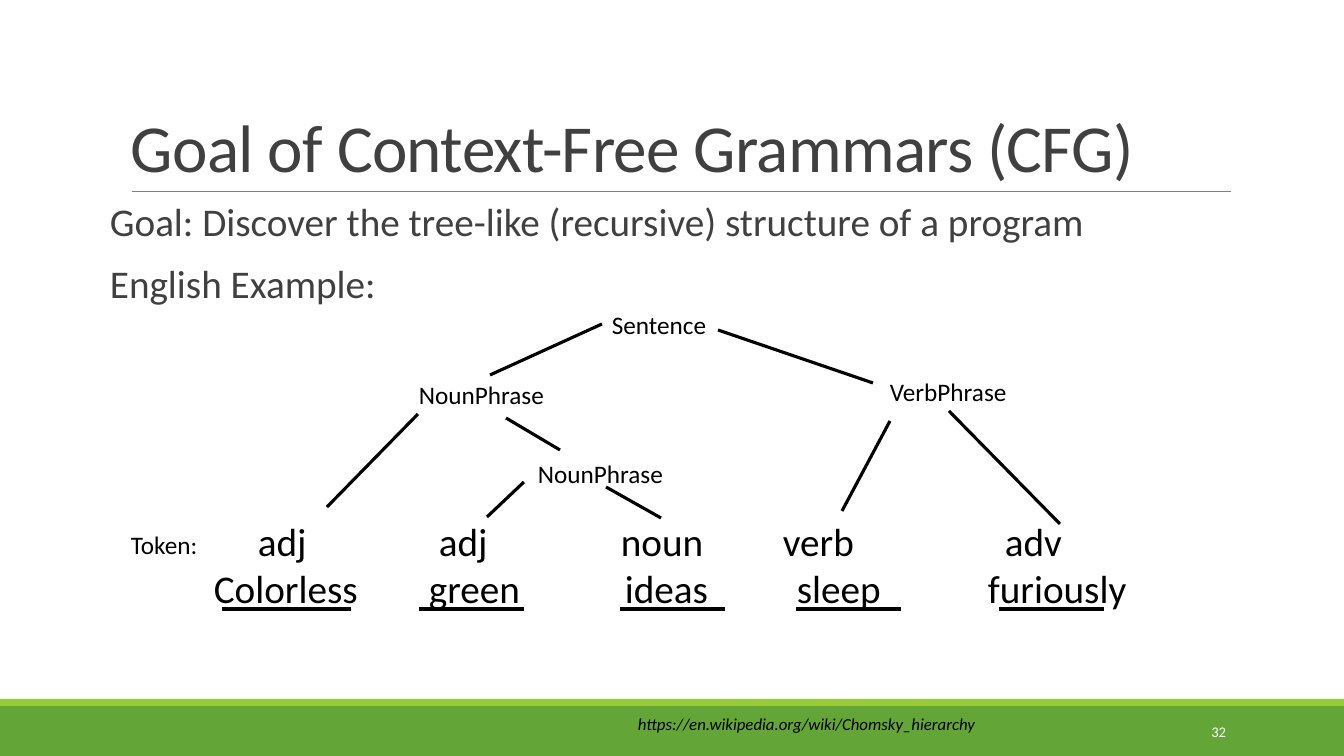
"""Build a slide that shows an English sentence as a context-free parse tree."""

import dataclasses
import typing

import lxml.etree
import pptx
import pptx.dml.color
import pptx.enum.shapes
import pptx.enum.text
import pptx.oxml.ns
import pptx.util

WIDTH, HEIGHT = 1344, 756
EMU_PER_PX = 12192000 / WIDTH
FONT = "Calibri"
BLACK, WHITE, DARK, GRAY = "000000", "FFFFFF", "404040", "808080"
GREEN, LIME = "63A537", "99CB38"
LEFT, BOTTOM = 1, 2
TOP_ANCHOR = pptx.enum.text.MSO_ANCHOR.TOP
LEFT_ALIGN = pptx.enum.text.PP_ALIGN.LEFT


@dataclasses.dataclass(frozen=True)
class Label:
    """A text box with one style for all its paragraphs."""

    lines: tuple[str, ...]
    left: int
    top: int
    width: int
    height: int
    size: float = 18
    color: str = BLACK
    wrap: bool = True
    italic: bool = False
    anchor: pptx.enum.text.MSO_ANCHOR = TOP_ANCHOR
    align: pptx.enum.text.PP_ALIGN = LEFT_ALIGN
    spacing: float = 1.0
    before: float = 0
    after: float = 0
    tracking: int = 0
    tabs: tuple[tuple[int, ...], ...] = ()


@dataclasses.dataclass(frozen=True)
class Band:
    """A filled strip across the full width of the slide."""

    top: int
    height: int
    color: str


@dataclasses.dataclass(frozen=True)
class Branch:
    """A tree line, optionally joined at its start to a side of a node."""

    start: tuple[int, int]
    end: tuple[int, int]
    node: str = ""
    side: int = LEFT


BANDS = (Band(706, 50, GREEN), Band(699, 7, LIME))

LABELS = (
    Label(("Goal of Context-Free Grammars (CFG)",), 121, 31, 1109, 160, 48, DARK,
          anchor=pptx.enum.text.MSO_ANCHOR.BOTTOM, spacing=0.85, tracking=-50),
    Label(("Goal: Discover the tree-like (recursive) structure of a program",
           "English Example:"),
          100, 198, 1004, 482, 28, DARK, spacing=0.9, before=12, after=2),
    Label(("32",), 1092, 712, 144, 40, 10.5, WHITE,
          anchor=pptx.enum.text.MSO_ANCHOR.MIDDLE, align=pptx.enum.text.PP_ALIGN.RIGHT),
    Label(("https://en.wikipedia.org/wiki/Chomsky_hierarchy",), 628, 709, 504, 30, 12,
          italic=True),
    Label(("\tadj\tadj\tnoun\tverb\tadv", "Colorless\tgreen\tideas\tsleep\tfuriously"),
          204, 512, 944, 105, 28,
          tabs=((44, 225, 407, 569, 791), (215, 411, 583, 774))),
    Label(("Token:",), 121, 524, 88, 40, wrap=False),
)

NODES = {
    "sentence": Label(("Sentence",), 602, 304, 116, 40, wrap=False),
    "subject": Label(("NounPhrase",), 409, 374, 147, 40, wrap=False),
    "inner subject": Label(("NounPhrase",), 528, 453, 147, 40, wrap=False),
    "predicate": Label(("VerbPhrase",), 880, 371, 138, 40, wrap=False),
}

BRANCHES = (
    Branch((602, 327), (490, 375), "sentence", LEFT),
    Branch((718, 330), (873, 383)),
    Branch((418, 414), (327, 507)),
    Branch((506, 418), (560, 450)),
    Branch((524, 482), (487, 517)),
    Branch((606, 487), (661, 518)),
    Branch((890, 421), (842, 511)),
    Branch((949, 414), (1060, 524), "predicate", BOTTOM),
)

UNDERLINE_TOP = 609
UNDERLINES = ((222, 351), (419, 524), (620, 725), (796, 901), (999, 1104))


def px(length: int) -> pptx.util.Emu:
    """Turn pixels into EMU."""
    return pptx.util.Emu(round(length * EMU_PER_PX))


def rgb(value: str) -> pptx.dml.color.RGBColor:
    """Turn a hex string into a colour."""
    return pptx.dml.color.RGBColor.from_string(value)


def add_band(page: typing.Any, band: Band) -> None:
    """Draw a strip without outline or shadow."""
    box = page.shapes.add_shape(pptx.enum.shapes.MSO_SHAPE.RECTANGLE,
                                0, px(band.top), px(WIDTH), px(band.height))
    box.shadow.inherit = False
    box.fill.solid()
    box.fill.fore_color.rgb = rgb(band.color)
    box.line.fill.background()


def add_tabs(para: typing.Any, stops: tuple[int, ...]) -> None:
    """Set left tab stops on a paragraph."""
    qn = pptx.oxml.ns.qn
    tab_list = lxml.etree.SubElement(para._p.get_or_add_pPr(), qn("a:tabLst"))
    for stop in stops:
        lxml.etree.SubElement(tab_list, qn("a:tab"), pos=str(px(stop)), algn="l")


def add_label(page: typing.Any, label: Label) -> typing.Any:
    """Draw a text box and return it."""
    box = page.shapes.add_textbox(px(label.left), px(label.top),
                                  px(label.width), px(label.height))
    frame = box.text_frame
    frame.word_wrap = label.wrap
    frame.vertical_anchor = label.anchor
    for index, line in enumerate(label.lines):
        para = frame.add_paragraph() if index else frame.paragraphs[0]
        if label.tabs:
            add_tabs(para, label.tabs[index])
        para.alignment = label.align
        para.line_spacing = label.spacing
        para.space_before = pptx.util.Pt(label.before if index else 0)
        para.space_after = pptx.util.Pt(label.after)
        span = para.add_run()
        span.text = line
        span.font.name = FONT
        span.font.size = pptx.util.Pt(label.size)
        span.font.italic = label.italic
        span.font.color.rgb = rgb(label.color)
        if label.tracking:
            span.font._element.set("spc", str(label.tracking))
    return box


def add_line(page: typing.Any, start: tuple[int, int], end: tuple[int, int],
             color: str, weight: float) -> typing.Any:
    """Draw a straight line without shadow and return it."""
    line = page.shapes.add_connector(pptx.enum.shapes.MSO_CONNECTOR.STRAIGHT,
                                     *map(px, start + end))
    line.line.color.rgb = rgb(color)
    line.line.width = pptx.util.Pt(weight)
    lxml.etree.SubElement(line._element.spPr, pptx.oxml.ns.qn("a:effectLst"))
    return line


def main() -> None:
    """Build and save the deck."""
    deck = pptx.Presentation()
    deck.slide_width, deck.slide_height = px(WIDTH), px(HEIGHT)
    page = deck.slides.add_slide(deck.slide_layouts[6])
    for band in BANDS:
        add_band(page, band)
    add_line(page, (132, 191), (1231, 191), GRAY, 0.5)
    for label in LABELS:
        add_label(page, label)
    for left, right in UNDERLINES:
        add_line(page, (left, UNDERLINE_TOP), (right, UNDERLINE_TOP), BLACK, 3)
    nodes = {name: add_label(page, label) for name, label in NODES.items()}
    for branch in BRANCHES:
        line = add_line(page, branch.start, branch.end, BLACK, 2.25)
        if branch.node:
            line.begin_connect(nodes[branch.node], branch.side)
    deck.save("out.pptx")


if __name__ == "__main__":
    main()
